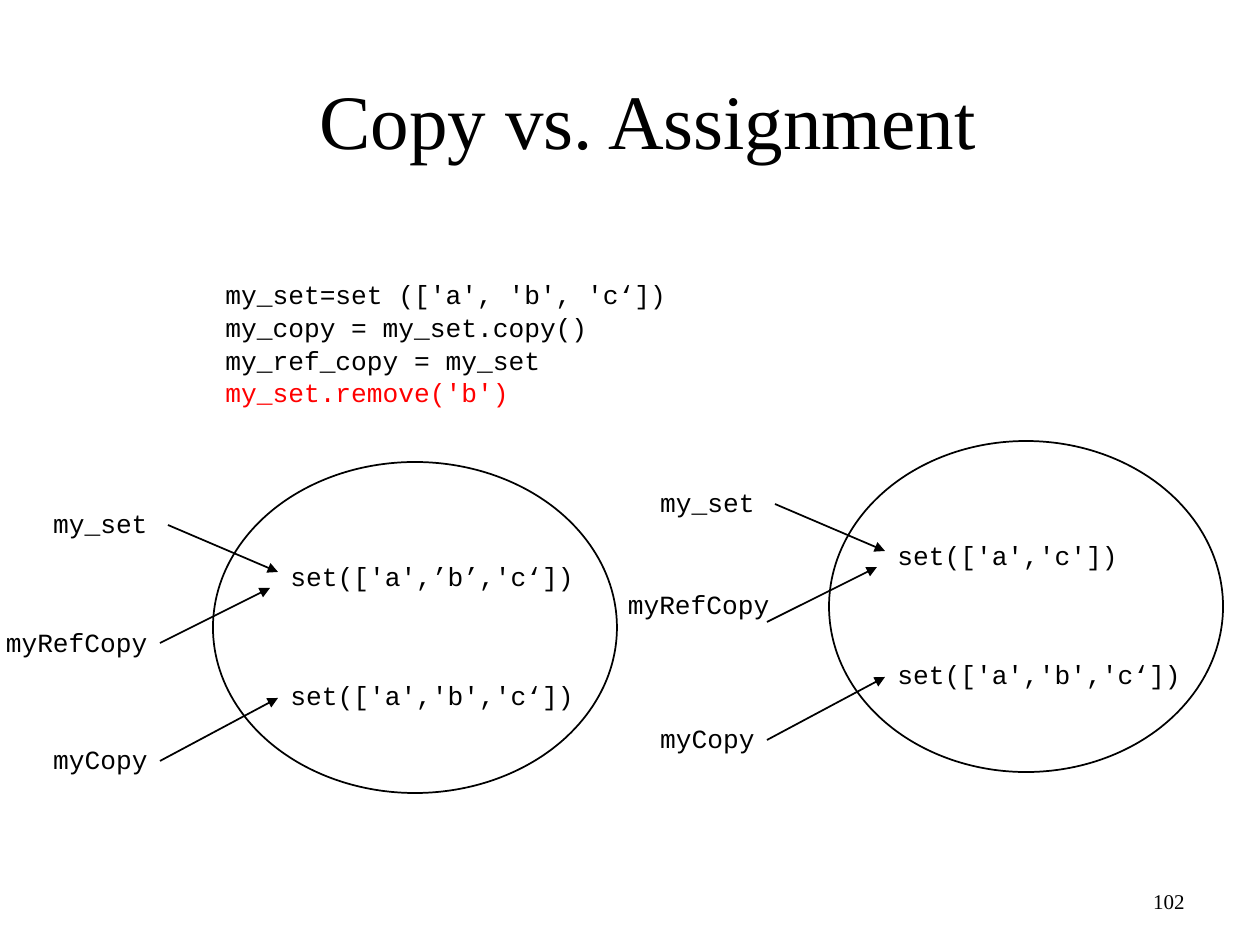
from dataclasses import dataclass

from lxml.etree import SubElement
from pptx import Presentation
from pptx.dml.color import RGBColor as Rgb
from pptx.enum.shapes import MSO_CONNECTOR as Link, MSO_SHAPE as Form
from pptx.enum.text import MSO_ANCHOR as Anchor, PP_ALIGN as Align
from pptx.oxml.ns import qn
from pptx.util import Pt


@dataclass(frozen=True)
class Theme:
    ink: Rgb = Rgb(0, 0, 0)
    red: Rgb = Rgb(255, 0, 0)
    serif: str = "Times New Roman"
    mono: str = "Courier New"
    title: int = 44
    code: int = 15
    page: int = 12
    line: int = 1


THEME = Theme()
SCALE = 914400 / 126


def px(*nums):
    return [round(num * SCALE) for num in nums]


def style(para, face, size, color=THEME.ink):
    para.font.name = face
    para.font.size = Pt(size)
    para.font.color.rgb = color


def write(slide, box, text, face=THEME.mono, size=THEME.code,
          align=Align.LEFT, anchor=Anchor.TOP):
    frame = slide.shapes.add_textbox(*px(*box)).text_frame
    frame.word_wrap = True
    frame.vertical_anchor = anchor
    para = frame.paragraphs[0]
    para.text = text
    para.alignment = align
    style(para, face, size)
    return frame


def draw_title(slide, box):
    write(slide, box, "Copy vs. Assignment", THEME.serif, THEME.title,
          Align.CENTER, Anchor.MIDDLE)


def draw_code(slide, box):
    rows = [
        ("my_set=set (['a', 'b', 'c‘])", THEME.ink),
        ("my_copy = my_set.copy()", THEME.ink),
        ("my_ref_copy = my_set", THEME.ink),
        ("my_set.remove('b')", THEME.red),
    ]
    frame = write(slide, box, "")
    for i, (text, color) in enumerate(rows):
        para = frame.add_paragraph() if i else frame.paragraphs[0]
        para.text = text
        para.line_spacing = 0.6
        para.space_before = Pt(8)
        style(para, THEME.mono, THEME.code, color)


def draw_arrow(slide, start, end):
    wire = slide.shapes.add_connector(Link.STRAIGHT, *px(*start, *end))
    wire.line.color.rgb = THEME.ink
    wire.line.width = Pt(THEME.line)
    SubElement(wire.line._get_or_add_ln(), qn("a:tailEnd"), type="triangle")
    SubElement(wire._element.spPr, qn("a:effectLst"))


def draw_state(slide, box, inset, ref, values):
    left, top, width, height = box
    oval = slide.shapes.add_shape(
        Form.OVAL, *px(left + inset, top, width - inset, height))
    oval.shadow.inherit = False
    oval.fill.background()
    oval.line.color.rgb = THEME.ink
    oval.line.width = Pt(THEME.line)

    names = [("my_set", 160, 39, 189), ("myRefCopy", *ref, 189),
             ("myCopy", 160, 275, 237)]
    for text, right, y, span in names:
        write(slide, (left + right - span, top + y, span, 44), text,
              align=Align.RIGHT)

    for text, y in zip(values, (92, 211)):
        write(slide, (left + 278, top + y, 322, 44), text)

    arrows = [((168, 63), (278, 110)), ((160, 181), (270, 126)),
              ((160, 299), (278, 236))]
    for ends in arrows:
        draw_arrow(slide, *[(left + x, top + y) for x, y in ends])


def draw_page(slide, box):
    write(slide, box, "102", THEME.serif, THEME.page,
          Align.RIGHT, Anchor.MIDDLE)


def main():
    deck = Presentation()
    deck.slide_width, deck.slide_height = px(1260, 945)
    slide = deck.slides.add_slide(deck.slide_layouts[6])
    draw_title(slide, (132, 54, 1032, 129))
    draw_code(slide, (213, 283, 543, 137))
    draw_state(slide, (607, 441, 616, 331), 222, (175, 141),
               ("set(['a','c'])", "set(['a','b','c‘])"))
    draw_page(slide, (903, 876, 294, 50))
    draw_state(slide, (0, 462, 617, 331), 213, (160, 158),
               ("set(['a',’b’,'c‘])", "set(['a','b','c‘])"))
    deck.save("out.pptx")


if __name__ == "__main__":
    main()
